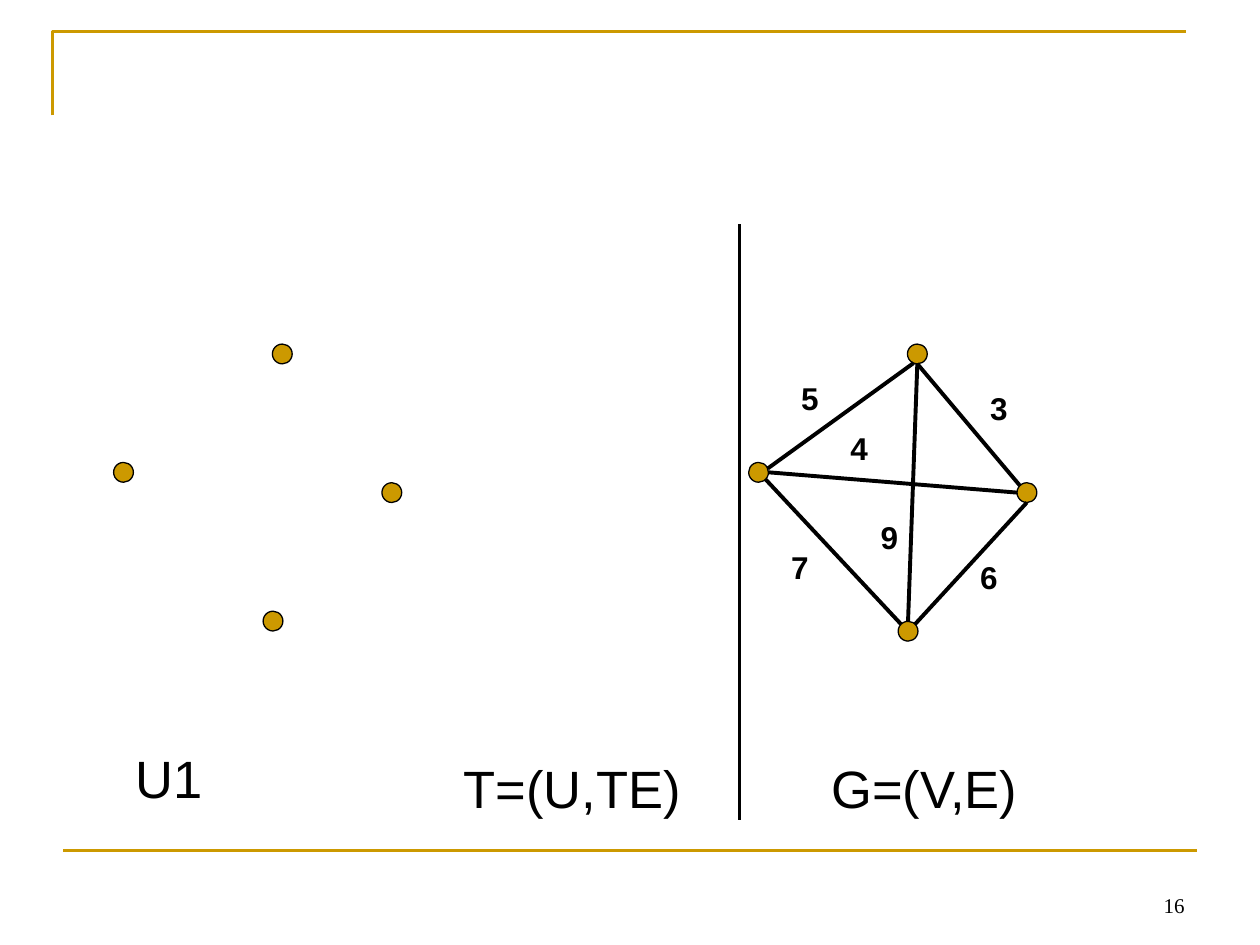
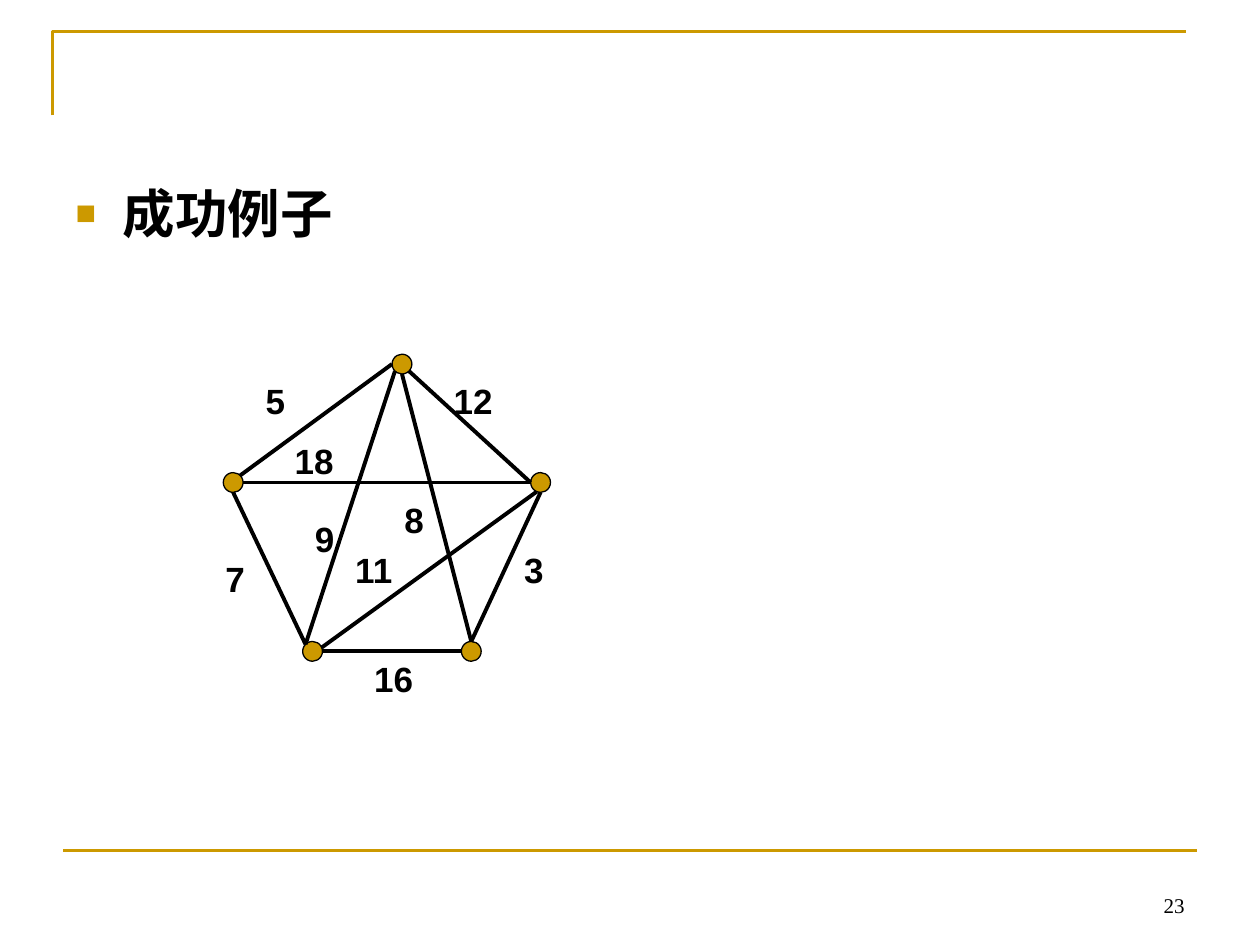
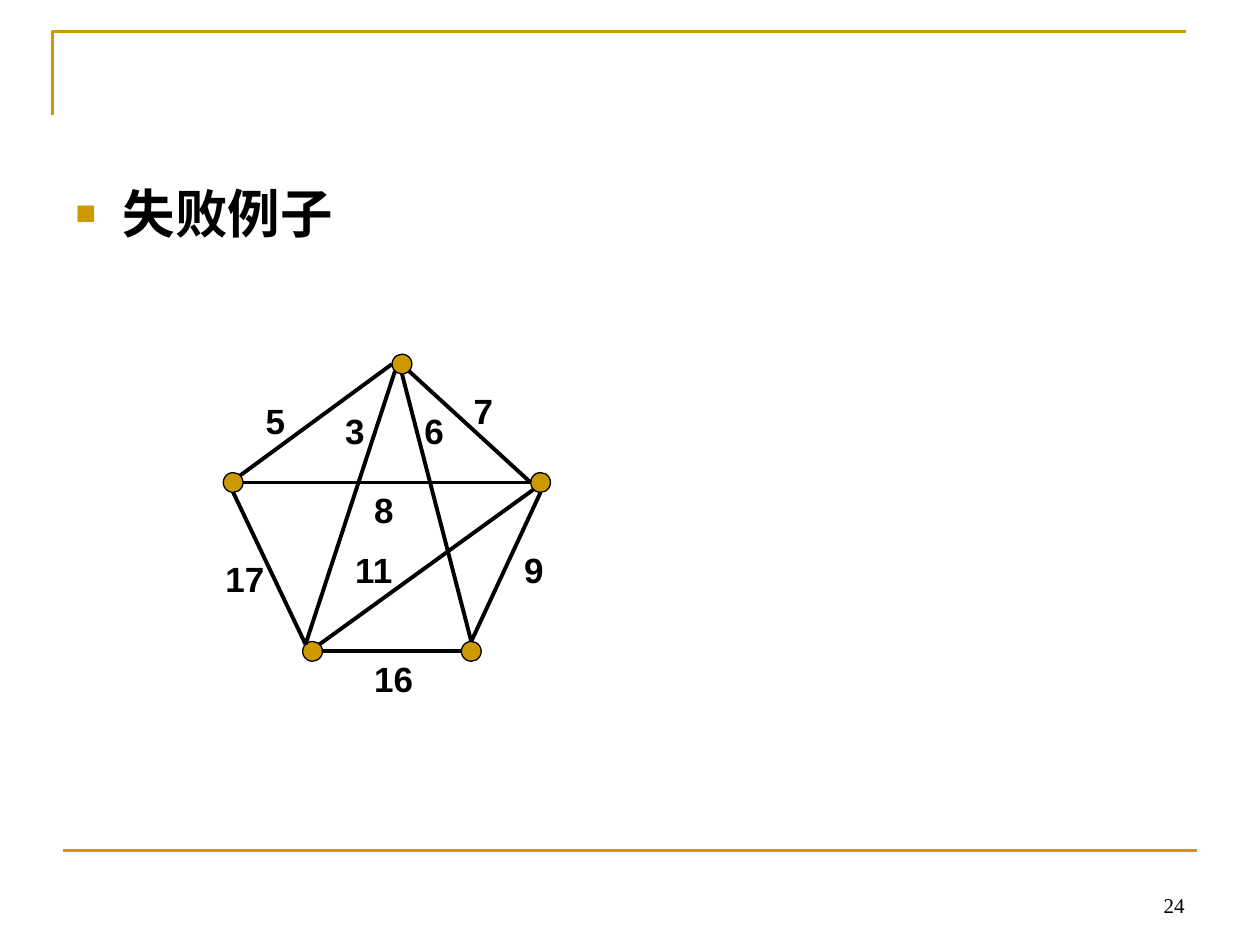
from math import cos, radians, sin

from lxml.etree import SubElement
from pptx import Presentation
from pptx.dml.color import RGBColor
from pptx.enum.shapes import MSO_CONNECTOR, MSO_SHAPE
from pptx.enum.text import MSO_ANCHOR, PP_ALIGN
from pptx.oxml.ns import qn
from pptx.util import Pt

COLORS = {"gold": "CC9900", "ink": "000000"}
SANS, SERIF = "Arial", "Times New Roman"
RADIUS = 5.65
BODY_LAYOUT, BLANK_LAYOUT = 1, 6

# Where an edge meets a node, in degrees clockwise from east
ANGLES = {"E": 0, "SE": 45, "S": 90, "SSW": 112.5, "SW": 135, "W": 180,
          "NW": 225, "N": 270, "NE": 315, "ENE": 337.5}

# Node centres relative to the left and top of their graph
KITE = {"top": (96.5, 5.75), "left": (5.75, 73.4),
        "right": (159.1, 85), "bottom": (91.2, 164.2)}
KITE_EDGES = [
    ("top", "SSW", "left", "ENE"),
    ("left", "SE", "bottom", "NW"),
    ("bottom", "NE", "right", "S"),
    ("right", "NW", "top", "S"),
    ("top", "S", "bottom", "N"),
    ("left", "E", "right", "W"),
]
KITE_WEIGHTS = [("5", 23, 16.6), ("7", 17.3, 113), ("9", 68.4, 95.8),
                ("3", 131, 22.3), ("6", 125.3, 118.8), ("4", 51.1, 45.4)]

PENTAGON = {"top": (102.2, 5.75), "left": (5.75, 73.4), "right": (181.4, 73.4),
            "low left": (51.1, 169.9), "low right": (141.8, 169.9)}
PENTAGON_EDGES = [
    ("top", "W", "left", "NE"),
    ("left", "S", "low left", "NW"),
    ("low left", "E", "low right", "W"),
    ("low right", "N", "right", "S"),
    ("top", "SE", "right", "W"),
    ("top", "SW", "low left", "NW"),
    ("top", "S", "low right", "N"),
    ("left", "E", "right", "W"),
]
SHARED_WEIGHTS = [("16", 79.2, 169.9), ("11", 68.4, 107.3)]
SUCCESS_WEIGHTS = SHARED_WEIGHTS + [
    ("5", 17.3, 10.8), ("7", -5.8, 113), ("12", 124.6, 10.8), ("9", 45.4, 90),
    ("3", 164.9, 107.3), ("8", 96.5, 79.2), ("18", 33.8, 45.4)]
FAILURE_WEIGHTS = SHARED_WEIGHTS + [
    ("5", 17.3, 22.3), ("17", -5.8, 113), ("7", 136.1, 16.6), ("3", 62.6, 28.1),
    ("9", 164.9, 107.3), ("8", 79.2, 73.4), ("6", 108, 28.1)]


def color(name):
    return RGBColor.from_string(COLORS[name])


def style_line(line, name, width):
    line.color.rgb = color(name)
    line.width = Pt(width)


def write(paragraph, words, size, bold=False, font=SANS):
    run = paragraph.add_run()
    run.text = words
    run.font.name = font
    run.font.size = Pt(size)
    run.font.bold = bold
    run.font.color.rgb = color("ink")


def add_label(slide, words, box, size, bold=False, font=SANS,
              align=PP_ALIGN.LEFT, anchor=MSO_ANCHOR.TOP):
    frame = slide.shapes.add_textbox(*map(Pt, box)).text_frame
    frame.word_wrap = True
    frame.vertical_anchor = anchor
    frame.paragraphs[0].alignment = align
    write(frame.paragraphs[0], words, size, bold, font)


def add_rule(slide, start, end, name="ink", width=2.25):
    rule = slide.shapes.add_connector(
        MSO_CONNECTOR.STRAIGHT, *map(Pt, (*start, *end)))
    style_line(rule.line, name, width)
    SubElement(rule._element.spPr, qn("a:effectLst"))


def add_frame(slide, number):
    """Draw the gold corner, the footer rule and the slide number."""
    builder = slide.shapes.build_freeform(Pt(30), Pt(66))
    builder.add_line_segments(
        [(Pt(30), Pt(18)), (Pt(678), Pt(18))], close=False)
    corner = builder.convert_to_shape()
    corner.shadow.inherit = False
    corner.fill.background()
    style_line(corner.line, "gold", 1.5)
    add_rule(slide, (36, 486), (684, 486), "gold", 1.5)
    add_label(slide, str(number), (516, 492, 168, 36), 12, font=SERIF,
              align=PP_ALIGN.RIGHT, anchor=MSO_ANCHOR.BOTTOM)


def add_graph(slide, left, top, nodes, edges=(), weights=(), size=20):
    def rim(node, side):
        x, y = nodes[node]
        angle = radians(ANGLES[side])
        return left + x + RADIUS * cos(angle), top + y + RADIUS * sin(angle)

    for x, y in nodes.values():
        dot = slide.shapes.add_shape(
            MSO_SHAPE.OVAL, Pt(left + x - RADIUS), Pt(top + y - RADIUS),
            Pt(2 * RADIUS), Pt(2 * RADIUS))
        dot.shadow.inherit = False
        dot.fill.solid()
        dot.fill.fore_color.rgb = color("gold")
        style_line(dot.line, "ink", 0.75)
    for start, start_side, end, end_side in edges:
        add_rule(slide, rim(start, start_side), rim(end, end_side))
    for weight, x, y in weights:
        box = (left + x, top + y, 16 + 12 * len(weight), 1.6 * size)
        add_label(slide, weight, box, size, bold=True)


def fill_heading(slide, words, height):
    """Put one bulleted line in the body placeholder and drop the title."""
    title = slide.shapes.title
    title._element.getparent().remove(title._element)
    body = slide.placeholders[1]
    body.left, body.top, body.width, body.height = map(Pt, (36, 100, 648, height))
    paragraph = body.text_frame.paragraphs[0]
    paragraph.space_before = Pt(7.5)
    write(paragraph, words, 30, bold=True)
    props = paragraph._p.get_or_add_pPr()
    props.set("marL", str(Pt(27)))
    props.set("indent", str(Pt(-27)))
    bullet_color = SubElement(props, qn("a:buClr"))
    SubElement(bullet_color, qn("a:srgbClr"), val=COLORS["gold"])
    SubElement(props, qn("a:buSzPct"), val="65000")
    SubElement(props, qn("a:buFont"), typeface=SANS)
    SubElement(props, qn("a:buChar"), char="■")


def add_tree_slide(deck, number):
    slide = deck.slides.add_slide(deck.slide_layouts[BLANK_LAYOUT])
    add_frame(slide, number)
    add_graph(slide, 427.7, 196.5, KITE, KITE_EDGES, KITE_WEIGHTS, size=18)
    add_graph(slide, 64.8, 196.5, KITE | {"bottom": (91.2, 158.4)})
    add_rule(slide, (422.6, 128.2), (422.6, 468.7))
    for caption, left, top, width in (("G=(V,E)", 468, 428.4, 142),
                                      ("T=(U,TE)", 257.8, 428.4, 142),
                                      ("U1", 70.6, 423, 113)):
        add_label(slide, caption, (left, top, width, 43.2), 30)


def add_example_slide(deck, number, heading, height, weights, diagonal):
    """diagonal: the sides where the low left to right edge starts and ends."""
    slide = deck.slides.add_slide(deck.slide_layouts[BODY_LAYOUT])
    add_frame(slide, number)
    fill_heading(slide, heading, height)
    start_side, end_side = diagonal
    edges = PENTAGON_EDGES + [("low left", start_side, "right", end_side)]
    add_graph(slide, 127.5, 202.3, PENTAGON, edges, weights)


def main():
    deck = Presentation()
    deck.slide_width, deck.slide_height = Pt(720), Pt(540)
    add_tree_slide(deck, 16)
    add_example_slide(deck, 23, "成功例子", 383, SUCCESS_WEIGHTS, ("ENE", "SSW"))
    add_example_slide(deck, 24, "失败例子", 62.6, FAILURE_WEIGHTS, ("NE", "SW"))
    deck.save("out.pptx")


if __name__ == "__main__":
    main()
